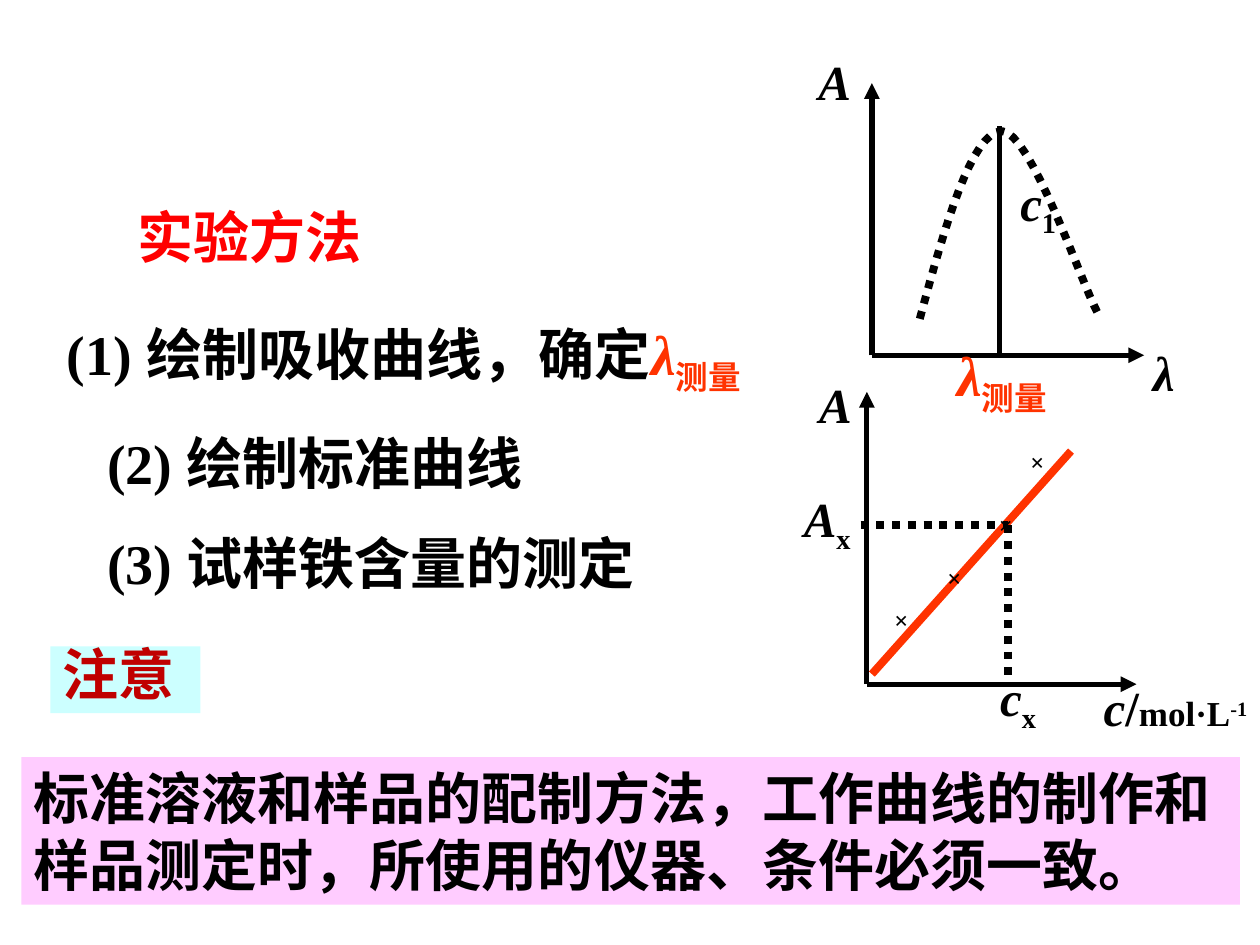
from lxml import etree
from pptx import Presentation
from pptx import util as u
from pptx.dml.color import RGBColor
from pptx.enum import dml, shapes, text
from pptx.oxml import ns

BLACK = RGBColor(0, 0, 0)
RED = RGBColor(0xFF, 0, 0)
DARK_RED = RGBColor(0xC0, 0, 0)
ORANGE = RGBColor(0xFF, 0x33, 0)
CYAN = RGBColor(0xCC, 0xFF, 0xFF)
PINK = RGBColor(0xFF, 0xCC, 0xFF)
LATIN = "Times New Roman"
CHINESE = "Noto Sans CJK SC"
CENTER = text.PP_ALIGN.CENTER
LEFT = text.PP_ALIGN.LEFT
DOTTED = dml.MSO_LINE.ROUND_DOT
FRAME = dict(
    auto_size=text.MSO_AUTO_SIZE.NONE,
    vertical_anchor=text.MSO_ANCHOR.TOP,
    margin_left=u.Inches(0.1),
    margin_right=u.Inches(0.1),
    margin_top=u.Inches(0.05),
    margin_bottom=u.Inches(0.05),
)


def set_values(target, values):
    for name, value in values.items():
        setattr(target, name, value)


def inches(values):
    return [u.Inches(value) for value in values]


def place(shape, box):
    set_values(shape, dict(zip(("left", "top", "width", "height"), inches(box))))


def add_run(paragraph, wording, size=28, color=BLACK, italic=False, baseline=0, font=LATIN):
    """Add a bold run; baseline is a percentage, negative for a subscript."""
    run = paragraph.add_run()
    run.text = wording
    set_values(run.font, dict(name=font, size=u.Pt(size), bold=True, italic=italic))
    run.font.color.rgb = color
    properties = run.font._element
    etree.SubElement(properties, ns.qn("a:ea")).set("typeface", CHINESE)
    if baseline:
        properties.set("baseline", str(baseline * 1000))


def write_paragraph(paragraph, runs, alignment=LEFT, line_spacing=1.0):
    set_values(paragraph, dict(alignment=alignment, line_spacing=line_spacing,
                               space_before=u.Pt(0)))
    for wording, values in runs:
        add_run(paragraph, wording, **values)


def fill_frame(shape, runs, wrap=True, **paragraph_values):
    frame = shape.text_frame
    set_values(frame, dict(FRAME, word_wrap=wrap))
    write_paragraph(frame.paragraphs[0], runs, **paragraph_values)


def add_label(slide, box, runs):
    fill_frame(slide.shapes.add_textbox(*inches(box)), runs, wrap=False, alignment=CENTER)


def add_panel(slide, box, color, runs, **paragraph_values):
    panel = slide.shapes.add_shape(shapes.MSO_SHAPE.RECTANGLE, *inches(box))
    panel.shadow.inherit = False
    panel.fill.solid()
    panel.fill.fore_color.rgb = color
    panel.line.fill.background()
    fill_frame(panel, runs, **paragraph_values)


def format_line(line, color, width, dash=None):
    line.color.rgb = color
    set_values(line, dict(width=u.Pt(width), dash_style=dash))


def add_line(slide, start, end, color=BLACK, width=3, dash=None, arrow=False):
    connector = slide.shapes.add_connector(
        shapes.MSO_CONNECTOR.STRAIGHT, *inches(start), *inches(end))
    format_line(connector.line, color, width, dash)
    if arrow:
        line_xml = connector.line._get_or_add_ln()
        etree.SubElement(line_xml, ns.qn("a:tailEnd")).set("type", "triangle")
    etree.SubElement(connector._element.spPr, ns.qn("a:effectLst"))


def add_axes(slide, origin, right, top):
    add_line(slide, origin, (right, origin[1]), arrow=True)
    add_line(slide, origin, (origin[0], top), arrow=True)


def bezier_points(controls, steps=16):
    """Points along a cubic curve, without its start."""
    for step in range(1, steps + 1):
        t = step / steps
        weights = ((1 - t) ** 3, 3 * t * (1 - t) ** 2, 3 * t * t * (1 - t), t ** 3)
        yield tuple(sum(weight * point[axis] for weight, point in zip(weights, controls))
                    for axis in (0, 1))


def add_absorption_curve(slide):
    start, peak, end = (7.3, 2.53), (7.95, 1.04), (8.71, 2.48)
    rise = (start, (7.5, 1.79), (7.71, 1.05), peak)
    fall = (peak, (8.18, 1.04), (8.58, 2.24), end)
    points = [inches(point) for point in (*bezier_points(rise), *bezier_points(fall))]
    builder = slide.shapes.build_freeform(*inches(start))
    builder.add_line_segments(points, close=False)
    curve = builder.convert_to_shape()
    curve.shadow.inherit = False
    curve.fill.background()
    format_line(curve.line, BLACK, 4.5, DOTTED)


def symbol(letter, subscript=""):
    runs = [(letter, dict(italic=True))]
    if subscript:
        runs.append((subscript, dict(baseline=-25)))
    return runs


def measuring_wavelength():
    return [("λ", dict(size=32, color=ORANGE, italic=True)),
            ("测量", dict(size=32, color=ORANGE, baseline=-25, font=CHINESE))]


def add_title(slide):
    title = slide.shapes.title
    place(title, (0.99, 1.5, 2.81, 0.69))
    fill_frame(title, [("实验方法", dict(size=32, color=RED, font=CHINESE))], line_spacing=1.1)


def add_steps(slide):
    body = slide.placeholders[1]
    place(body, (0.43, 2.3, 6.25, 2.5))
    frame = body.text_frame
    set_values(frame, dict(FRAME, word_wrap=True))
    large = dict(size=32)
    steps = (
        (0, [("(1) 绘制吸收曲线，确定", large), *measuring_wavelength()]),
        (0.32, [("(2) 绘制标准曲线", large)]),
        (0.32, [("(3) 试样铁含量的测定", large)]),
    )
    for index, (margin, runs) in enumerate(steps):
        paragraph = frame.add_paragraph() if index else frame.paragraphs[0]
        properties = paragraph._p.get_or_add_pPr()
        properties.set("marL", str(u.Inches(margin)))
        properties.set("indent", "0")
        etree.SubElement(properties, ns.qn("a:buNone"))
        write_paragraph(paragraph, runs, line_spacing=u.Pt(57))


def add_calibration_chart(slide):
    add_line(slide, (6.92, 5.35), (8.5, 3.58), ORANGE, 4.5)
    add_axes(slide, (6.88, 5.43), 9.02, 3.11)
    sample = (8, 4.17)
    add_line(slide, (6.83, 4.17), sample, width=4.5, dash=DOTTED)
    add_line(slide, sample, (8, 5.42), width=4.5, dash=DOTTED)
    add_label(slide, (6.33, 2.92, 0.6, 0.57), symbol("A"))
    add_label(slide, (6.26, 3.83, 0.61, 0.63), symbol("A", "x"))
    add_label(slide, (7.84, 5.25, 0.48, 0.63), symbol("c", "x"))
    unit = [*symbol("c"), ("/", {}), ("mol·L", dict(size=20)),
            ("-1", dict(size=20, baseline=30))]
    add_label(slide, (8.66, 5.33, 1.34, 0.5), unit)
    for left, top in ((7, 4.75), (7.42, 4.42), (7.83, 4), (8.08, 3.5)):
        mark = slide.shapes.add_textbox(*inches((left, top, 0.75, 0.34)))
        fill_frame(mark, [("×", dict(size=14))])


def add_absorption_chart(slide):
    add_axes(slide, (6.92, 2.82), 9.08, 0.66)
    add_absorption_curve(slide)
    add_line(slide, (7.93, 1), (7.93, 2.8))
    add_label(slide, (8, 1.32, 0.48, 0.63), symbol("c", "1"))
    add_label(slide, (8.79, 2.67, 0.89, 0.57), symbol("λ"))
    add_label(slide, (6.18, 0.36, 0.89, 0.57), symbol("A"))
    add_label(slide, (7.44, 2.65, 1.02, 0.71), measuring_wavelength())


def main():
    presentation = Presentation()
    set_values(presentation, dict(slide_width=u.Inches(10), slide_height=u.Inches(7.5)))
    slide = presentation.slides.add_slide(presentation.slide_layouts[1])
    add_title(slide)
    add_steps(slide)
    add_panel(slide, (0.4, 5.13, 1.19, 0.53), CYAN,
              [("注意", dict(size=32, color=DARK_RED, font=CHINESE))], line_spacing=0.8)
    add_panel(slide, (0.17, 6.01, 9.67, 1.17), PINK,
              [("标准溶液和样品的配制方法，工作曲线的制作和样品测定时，"
                "所使用的仪器、条件必须一致。", dict(size=32))])
    add_calibration_chart(slide)
    add_absorption_chart(slide)
    presentation.save("out.pptx")


if __name__ == "__main__":
    main()
